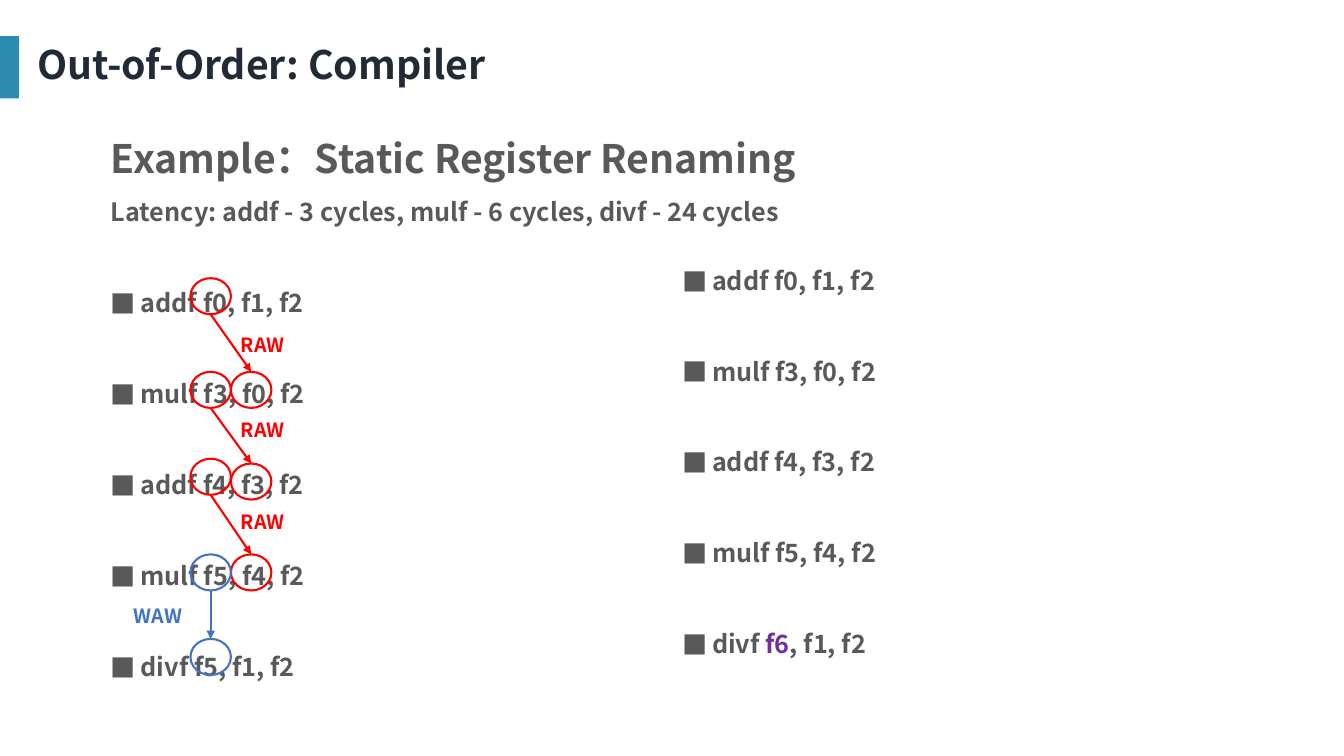
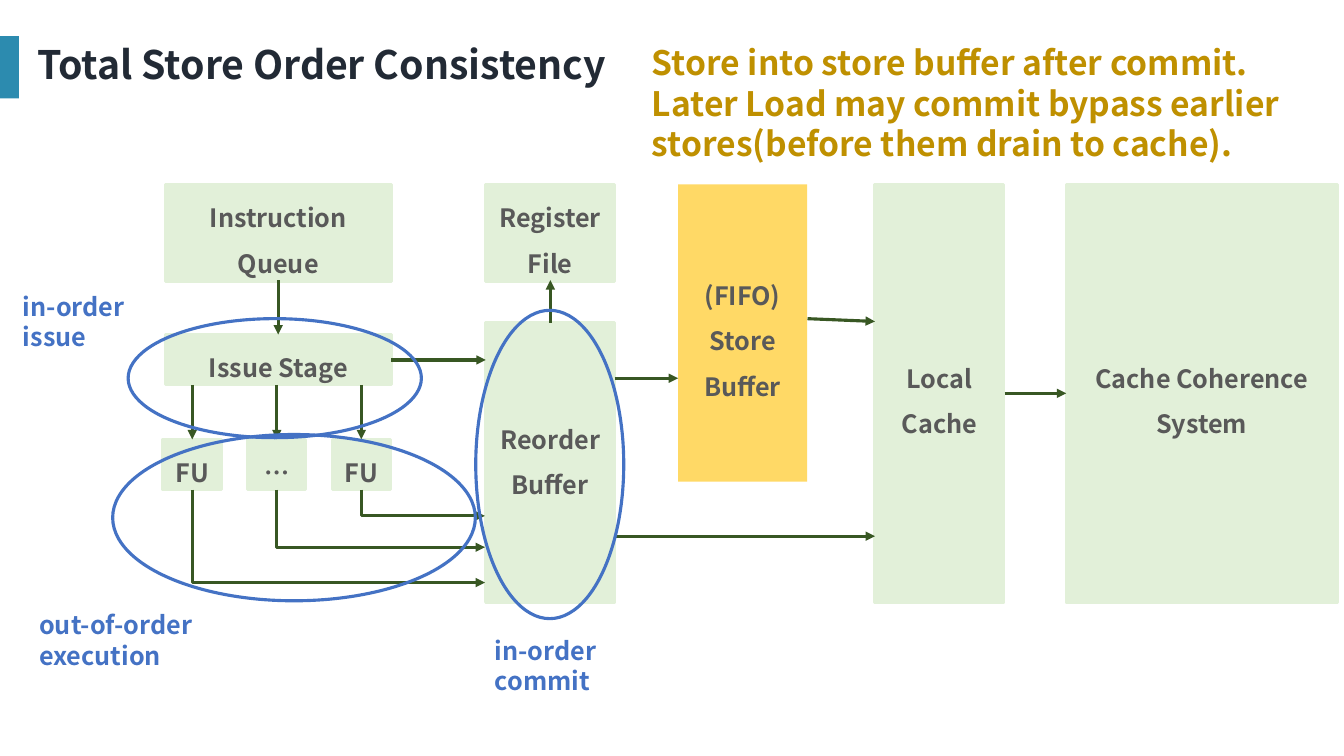
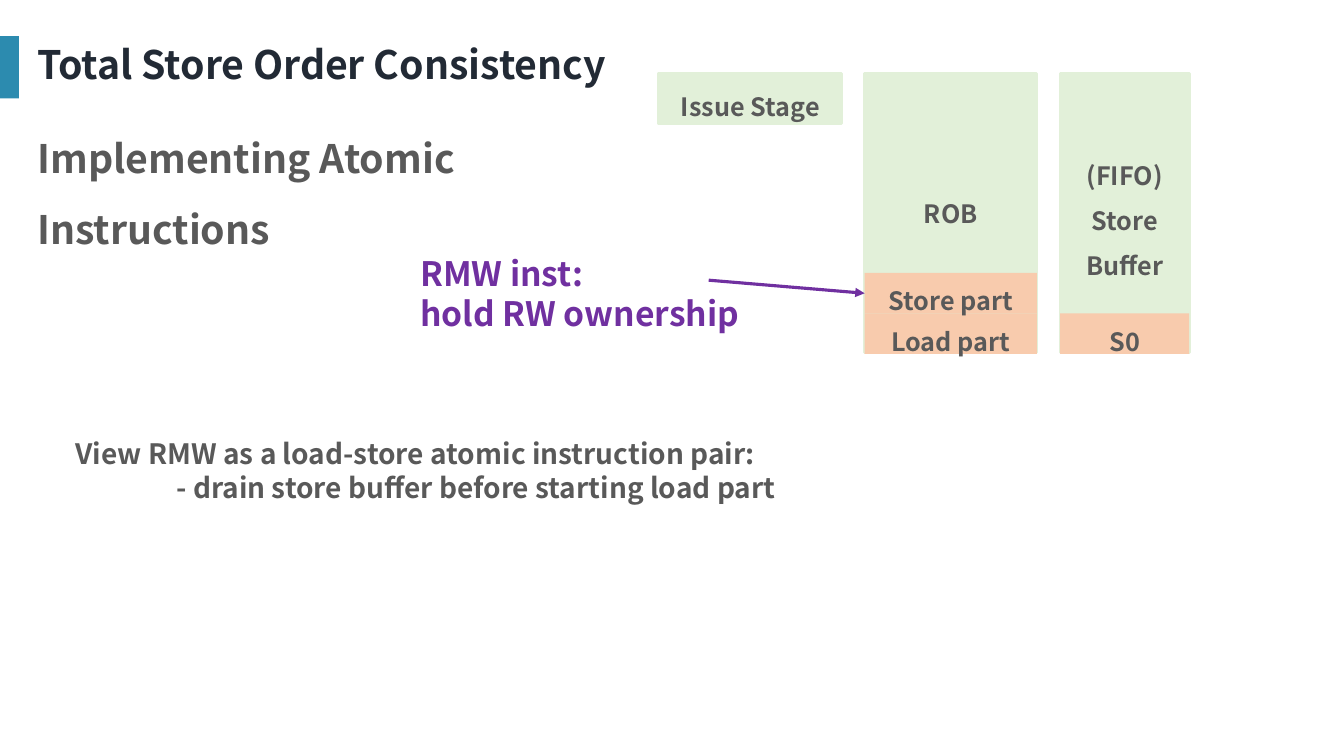
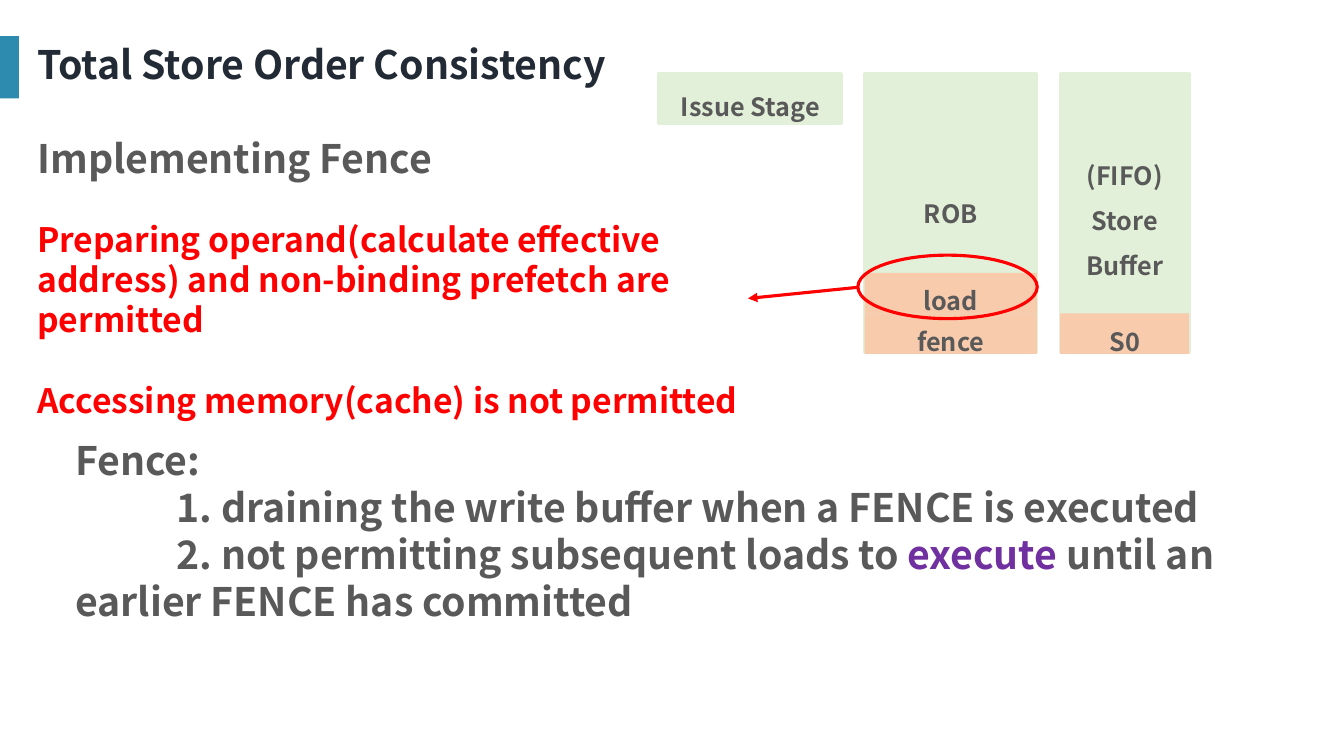
from dataclasses import dataclass
from typing import NamedTuple

from lxml.etree import SubElement
from pptx import Presentation
from pptx.dml.color import RGBColor
from pptx.enum.shapes import MSO_CONNECTOR, MSO_SHAPE
from pptx.enum.text import MSO_ANCHOR, MSO_AUTO_SIZE, PP_ALIGN
from pptx.oxml.ns import qn
from pptx.util import Cm, Pt

FONT = "Noto Sans CJK SC"
BAND, TITLE, TEXT = "2C8BAF", "222A35", "595959"
GREEN, DARK_GREEN, YELLOW, PEACH = "E2F0D9", "385723", "FFD966", "F8CBAD"
RED, BLUE, PURPLE, GOLD = "FF0000", "4472C4", "7030A0", "BF9000"

TITLE_ONLY, TWO_CONTENT = 5, 3
BLANK_LINE = 32.5  # points, one 18 pt line at 1.5 spacing
BULLET_INDENT = 0.75


class Area(NamedTuple):
    """Left, top, width and height in centimetres."""
    left: float
    top: float
    width: float
    height: float


class Point(NamedTuple):
    x: float
    y: float


@dataclass
class Para:
    text: str
    size: float = 18
    color: str = TEXT
    accent: str = ""
    spacing: float = 1.0
    before: float = 0
    indent: float = 0
    bullet: bool = False


@dataclass
class Block:
    lines: list[str]
    area: Area
    fill: str = GREEN
    lift: float = 0


@dataclass
class Hazard:
    """A dependency between a ringed target register and a later ringed register."""
    name: str
    color: str
    source: Point
    target: Point
    label: Point


@dataclass
class Label:
    lines: list[str]
    area: Area


def rgb(color: str) -> RGBColor:
    return RGBColor.from_string(color)


def lengths(area: Area) -> list[Cm]:
    return [Cm(value) for value in area]


def format_paragraph(paragraph, para: Para, align) -> None:
    paragraph.alignment = align
    paragraph.line_spacing = para.spacing
    paragraph.space_before = Pt(para.before)
    paragraph.space_after = Pt(0)
    properties = paragraph._p.get_or_add_pPr()
    margin = BULLET_INDENT if para.bullet else 0
    properties.set("marL", str(Cm(margin)))
    properties.set("indent", str(Cm(para.indent - margin)))
    if para.bullet:
        SubElement(properties, qn("a:buFont"), typeface=FONT)
        SubElement(properties, qn("a:buChar"), char="■")
    else:
        SubElement(properties, qn("a:buNone"))
    pieces = para.text.partition(para.accent) if para.accent else (para.text,)
    for piece in filter(None, pieces):
        span = paragraph.add_run()
        span.text = piece
        span.font.name = FONT
        span.font.size = Pt(para.size)
        span.font.bold = True
        span.font.color.rgb = rgb(PURPLE if piece == para.accent else para.color)
        SubElement(span._r.get_or_add_rPr(), qn("a:ea"), typeface=FONT)


def write(box, paras: list[Para], align=PP_ALIGN.LEFT, anchor=MSO_ANCHOR.TOP) -> None:
    frame = box.text_frame
    frame.word_wrap = True
    frame.auto_size = MSO_AUTO_SIZE.NONE
    frame.vertical_anchor = anchor
    for index, para in enumerate(paras):
        paragraph = frame.add_paragraph() if index else frame.paragraphs[0]
        format_paragraph(paragraph, para, align)


def fill_placeholder(box, area: Area, paras: list[Para]) -> None:
    box.left, box.top, box.width, box.height = lengths(area)
    write(box, paras)


def add_text(page, area: Area, paras: list[Para]) -> None:
    write(page.shapes.add_textbox(*lengths(area)), paras)


def add_rectangle(page, area: Area, fill: str):
    box = page.shapes.add_shape(MSO_SHAPE.RECTANGLE, *lengths(area))
    box.shadow.inherit = False
    box.fill.solid()
    box.fill.fore_color.rgb = rgb(fill)
    box.line.fill.background()
    return box


def add_block(page, block: Block) -> None:
    box = add_rectangle(page, block.area, block.fill)
    if block.fill == GREEN:
        box.line.color.rgb = rgb(GREEN)
        box.line.width = Pt(2.25)
    box.text_frame.margin_bottom = Cm(0.13 + block.lift)
    paras = [Para(line, spacing=1.5) for line in block.lines]
    write(box, paras, PP_ALIGN.CENTER, MSO_ANCHOR.MIDDLE)


def add_ring(page, area: Area, color: str, width: float = 2.25) -> None:
    ring = page.shapes.add_shape(MSO_SHAPE.OVAL, *lengths(area))
    ring.shadow.inherit = False
    ring.fill.background()
    ring.line.color.rgb = rgb(color)
    ring.line.width = Pt(width)


def add_arrow(page, start: Point, end: Point, color: str = DARK_GREEN,
              width: float = 2.25, kind=MSO_CONNECTOR.STRAIGHT):
    arrow = page.shapes.add_connector(kind, Cm(start.x), Cm(start.y), Cm(end.x), Cm(end.y))
    arrow.line.color.rgb = rgb(color)
    arrow.line.width = Pt(width)
    properties = arrow.element.spPr
    SubElement(properties.find(qn("a:ln")), qn("a:tailEnd"), type="triangle")
    SubElement(properties, qn("a:effectLst"))
    return arrow


def add_corner_arrow(page, start: Point, end: Point) -> None:
    """Go down from start, then right to end: a one-corner connector, turned and flipped."""
    center = Point((start.x + end.x) / 2, (start.y + end.y) / 2)
    half_width, half_height = (end.y - start.y) / 2, (end.x - start.x) / 2
    arrow = add_arrow(page, Point(center.x - half_width, center.y - half_height),
                      Point(center.x + half_width, center.y + half_height),
                      kind=MSO_CONNECTOR.ELBOW)
    properties = arrow.element.spPr
    properties.find(qn("a:prstGeom")).set("prst", "bentConnector2")
    frame = properties.find(qn("a:xfrm"))
    frame.set("rot", str(270 * 60000))
    frame.set("flipH", "1")


def add_page(deck, title: str, layout: int = TWO_CONTENT):
    page = deck.slides.add_slide(deck.slide_layouts[layout])
    fill_placeholder(page.shapes.title, Area(0.68, 0.89, 15.5, 1.45),
                     [Para(title, 28, TITLE)])
    add_rectangle(page, Area(0, 0.91, 0.48, 1.57), BAND)
    return page


def instructions(lines: list[str], accent: str = "") -> list[Para]:
    return [Para(line, accent=accent if accent in line else "", spacing=1.5,
                 before=BLANK_LINE, bullet=True) for line in lines]


def add_renaming_page(deck) -> None:
    page = add_page(deck, "Out-of-Order: Compiler")
    shared = ["addf f0, f1, f2", "mulf f3, f0, f2", "addf f4, f3, f2", "mulf f5, f4, f2"]
    heading = [
        Para("Example：Static Register Renaming", 28, spacing=1.5),
        Para("Latency: addf - 3 cycles, mulf - 6 cycles, divf - 24 cycles", spacing=1.5),
    ]
    renamed = instructions(shared + ["divf f6, f1, f2"], "f6")
    renamed[0].before = 0
    fill_placeholder(page.placeholders[1], Area(2.54, 2.67, 21.34, 14.61),
                     heading + instructions(shared + ["divf f5, f1, f2"]))
    fill_placeholder(page.placeholders[2], Area(16.94, 6.17, 16, 11.1), renamed)

    first, second = 4.8, 5.82
    ring_width, ring_height = 1.02, 0.91
    hazards = [
        Hazard("RAW", RED, Point(first, 7.01), Point(second, 9.37), Point(5.82, 8.26)),
        Hazard("RAW", RED, Point(first, 9.37), Point(second, 11.68), Point(5.82, 10.41)),
        Hazard("RAW", RED, Point(first, 11.56), Point(second, 13.97), Point(5.82, 12.73)),
        Hazard("WAW", BLUE, Point(first, 13.97), Point(first, 16.1), Point(3.12, 15.09)),
    ]
    for hazard in hazards:
        for corner in (hazard.source, hazard.target):
            add_ring(page, Area(*corner, ring_width, ring_height), hazard.color, 1.5)
        add_arrow(page,
                  Point(hazard.source.x + ring_width / 2, hazard.source.y + ring_height),
                  Point(hazard.target.x + ring_width / 2, hazard.target.y),
                  hazard.color, 1.5)
        add_text(page, Area(*hazard.label, 2.21, 0.86),
                 [Para(hazard.name, 14, hazard.color)])


def add_store_order_page(deck) -> None:
    page = add_page(deck, "Total Store Order Consistency", TITLE_ONLY)
    top = 4.65
    blocks = [
        Block(["Instruction Queue"], Area(4.17, top, 5.69, 2.44)),
        Block(["Issue Stage"], Area(4.17, 8.43, 5.69, 1.27)),
        Block(["Reorder Buffer"], Area(12.24, 8.13, 3.25, 7.04), lift=0.38),
        Block(["Register File"], Area(12.24, top, 3.25, 2.44)),
        Block(["(FIFO)", "Store", "Buffer"], Area(17.09, top, 3.25, 7.49), YELLOW),
        Block(["Local Cache"], Area(22.05, top, 3.25, 10.52)),
        Block(["Cache Coherence System"], Area(26.87, top, 6.83, 10.52)),
    ]
    for block in blocks:
        add_block(page, block)

    unit_top, unit_width, unit_height, unit_step = 11.07, 1.47, 1.27, 2.13
    for index, (name, result_y) in enumerate([("FU", 14.68), ("…", 13.79), ("FU", 13)]):
        left = 4.11 + index * unit_step
        center = left + unit_width / 2
        add_block(page, Block([name], Area(left, unit_top, unit_width, unit_height)))
        add_arrow(page, Point(center, 9.7), Point(center, unit_top))
        add_corner_arrow(page, Point(center, unit_top + unit_height), Point(12.22, result_y))

    arrows = [
        (Point(9.86, 9.07), Point(12.24, 9.07)),
        (Point(7.01, 7.06), Point(7.01, 8.43)),
        (Point(13.87, 8.13), Point(13.87, 7.06)),
        (Point(15.49, 9.53), Point(17.09, 9.53)),
        (Point(15.49, 13.51), Point(22.05, 13.51)),
        (Point(20.35, 8.03), Point(22.05, 8.1)),
        (Point(25.32, 9.91), Point(26.87, 9.91)),
    ]
    for start, end in arrows:
        add_arrow(page, start, end)

    for area in (Area(3.23, 8.03, 7.39, 3), Area(2.84, 10.95, 9.14, 4.19),
                 Area(11.99, 7.82, 3.73, 7.77)):
        add_ring(page, area, BLUE)

    labels = [
        Label(["in-order issue"], Area(0.33, 7.21, 3.2, 1.8)),
        Label(["out-of-order execution"], Area(0.74, 15.24, 4.7, 1.8)),
        Label(["in-order", "commit"], Area(12.22, 15.88, 4.7, 1.8)),
    ]
    for label in labels:
        add_text(page, label.area, [Para(line, color=BLUE) for line in label.lines])
    add_text(page, Area(16.18, 0.94, 17.6, 3.33), [
        Para("Store into store buffer after commit.", 24, GOLD),
        Para("Later Load may commit bypass earlier stores(before them drain to cache).",
             24, GOLD),
    ])


def add_pipeline(page, younger: str, older: str) -> None:
    """Draw issue stage, ROB and store buffer, with two ROB entries and one store."""
    top, entry_height = 1.85, 1.02
    older_top = 7.9
    blocks = [
        Block(["Issue Stage"], Area(16.61, top, 4.6, 1.27)),
        Block(["ROB"], Area(21.79, top, 4.34, 7.04), lift=0.38),
        Block(["(FIFO)", "Store", "Buffer"], Area(26.72, top, 3.25, 7.04)),
        Block(["S0"], Area(26.72, older_top, 3.25, entry_height), PEACH),
        Block([older], Area(21.79, older_top, 4.34, entry_height), PEACH),
        Block([younger], Area(21.79, older_top - entry_height, 4.34, entry_height), PEACH),
    ]
    for block in blocks:
        add_block(page, block)


def add_atomic_page(deck) -> None:
    page = add_page(deck, "Total Store Order Consistency")
    fill_placeholder(page.placeholders[1], Area(0.69, 2.67, 32.92, 8.53), [
        Para(line, 28, spacing=1.5) for line in ("Implementing Atomic", "Instructions")
    ])
    fill_placeholder(page.placeholders[2], Area(1.65, 10.87, 30.53, 1.96), [
        Para("View RMW as a load-store atomic instruction pair:", 20),
        Para("- drain store buffer before starting load part", 20, indent=2.54),
    ])
    add_pipeline(page, "Store part", "Load part")
    add_text(page, Area(10.34, 6.25, 9.75, 2.31), [
        Para(line, 24, PURPLE) for line in ("RMW inst:", "hold RW ownership")
    ])
    add_arrow(page, Point(17.86, 7.06), Point(21.79, 7.39), PURPLE)


def add_fence_page(deck) -> None:
    page = add_page(deck, "Total Store Order Consistency")
    fill_placeholder(page.placeholders[1], Area(0.69, 2.67, 11.38, 6.73),
                     [Para("Implementing Fence", 28, spacing=1.5)])
    fill_placeholder(page.placeholders[2], Area(1.65, 10.87, 30.53, 5.05), [
        Para("Fence:", 28),
        Para("1. draining the write buﬀer when a FENCE is executed", 28, indent=2.54),
        Para("2. not permitting subsequent loads to execute until an earlier FENCE "
             "has committed", 28, accent="execute", indent=2.54),
    ])
    add_pipeline(page, "load", "fence")
    add_ring(page, Area(21.62, 6.43, 4.52, 1.6), RED)
    add_arrow(page, Point(21.62, 7.24), Point(18.85, 7.52), RED)
    add_text(page, Area(0.69, 5.38, 19.23, 5.38), [
        Para("Preparing operand(calculate effective address) and non-binding prefetch "
             "are permitted", 24, RED),
        Para("Accessing memory(cache) is not permitted", 24, RED, before=28.9),
    ])


def main() -> None:
    deck = Presentation()
    deck.slide_width, deck.slide_height = Cm(33.87), Cm(19.05)
    add_renaming_page(deck)
    add_store_order_page(deck)
    add_atomic_page(deck)
    add_fence_page(deck)
    deck.save("out.pptx")


if __name__ == "__main__":
    main()
